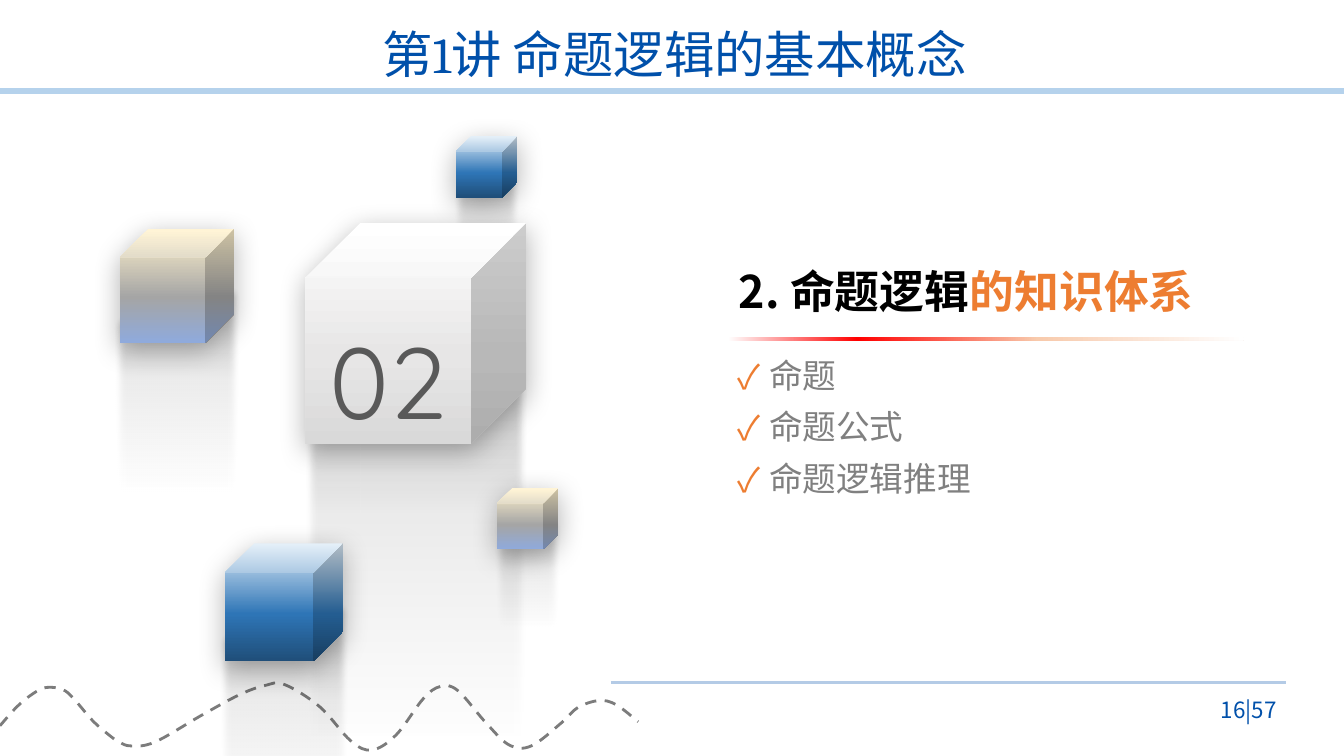
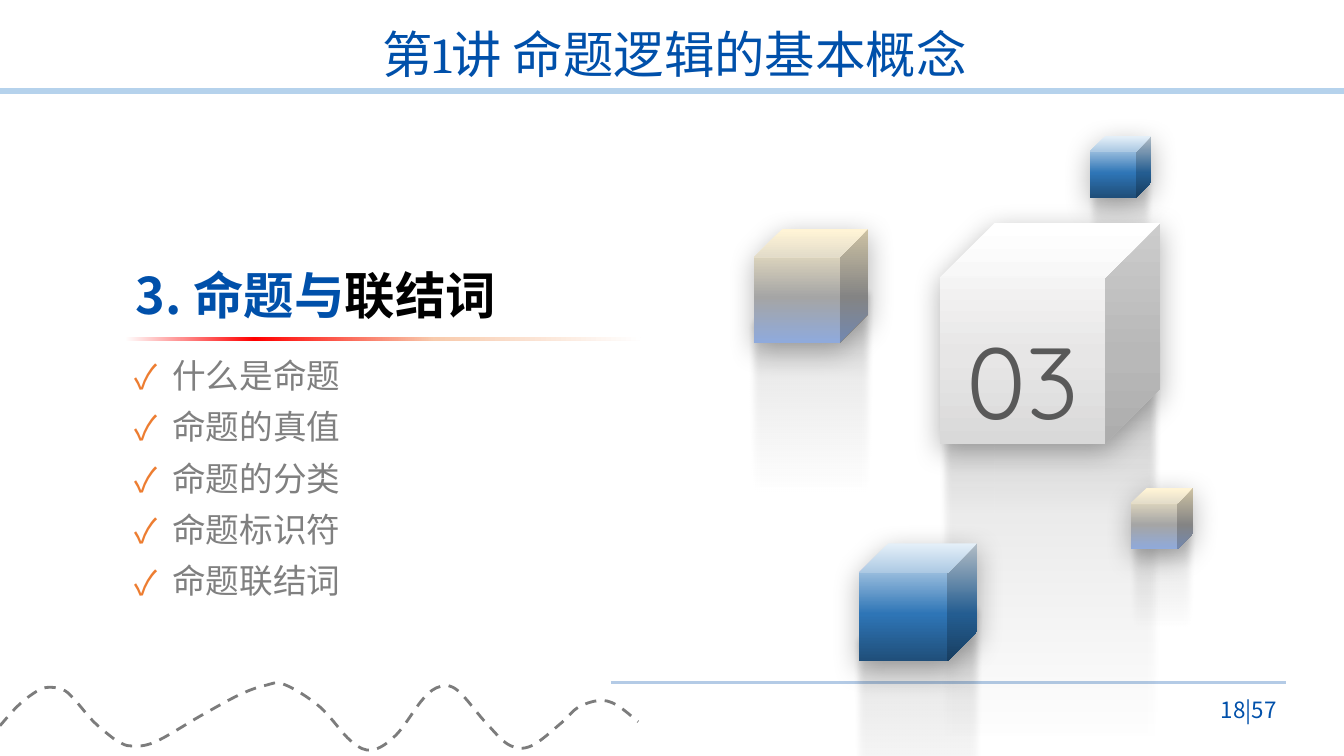
from pptx import Presentation
from pptx.dml.color import RGBColor
from pptx.enum.dml import MSO_LINE
from pptx.enum.shapes import MSO_CONNECTOR, MSO_SHAPE
from pptx.enum.text import MSO_ANCHOR, PP_ALIGN
from pptx.oxml import parse_xml
from pptx.oxml.ns import nsdecls, qn
from pptx.util import Inches, Pt

# Shared style
COLORS = {
    "blue": "0050AA", "band": "B5D2EC", "rule": "B4CBE6", "wave": "7C7C7C",
    "orange": "ED7D31", "black": "000000", "grey": "808080", "dark": "595959",
}
SANS = "Noto Sans CJK SC"
TITLE = "第1讲 命题逻辑的基本概念"
TOTAL = 57

# Gradient stops: position, colour, opacity in percent
GRADS = {
    "white": [(0, "FFFFFF", 100), (60, "E7E6E6", 100), (100, "D9D9D9", 100)],
    "blue": [(1, "DEEBF7", 100), (60, "2E75B6", 100), (100, "1F4E79", 100)],
    "sand": [(1, "FFF2CC", 100), (60, "A5A5A5", 100), (100, "8FAADC", 100)],
    "fade": [(30, "000000", 0), (50, "000000", 4),
             (70, "000000", 8), (100, "262626", 30)],
    "rule": [(0, "FFFFFF", 100), (25, "FF0000", 100),
             (60, "F8CBAD", 100), (100, "FFFFFF", 100)],
}

# Cubes: left, top, size, gradient, reflection width ratio
CUBES = [
    (4.52, 1.35, 0.61, "blue", 1.11),
    (3.03, 2.21, 2.19, "white", 1.01),
    (2.23, 5.39, 1.17, "blue", 1.11),
    (4.93, 4.84, 0.61, "sand", 1.11),
    (1.19, 2.27, 1.13, "sand", 1.11),
]

# Points along the dashed wave
WAVE = [
    (0, 7.2), (0.17, 7.01), (0.33, 6.88), (0.46, 6.82), (0.62, 6.84),
    (0.73, 6.93), (0.92, 7.15), (1.08, 7.29), (1.18, 7.36), (1.3, 7.4),
    (1.54, 7.36), (2.01, 7.09), (2.38, 6.89), (2.63, 6.8), (2.82, 6.79),
    (3.17, 7.01), (3.48, 7.35), (3.69, 7.44), (3.93, 7.29), (4.2, 6.93),
    (4.37, 6.81), (4.54, 6.85), (4.82, 7.17), (5.05, 7.39), (5.27, 7.4),
    (5.57, 7.17), (5.73, 7.02), (5.94, 6.95), (6.11, 6.99), (6.33, 7.16),
]

SLIDES = [
    {"num": "02", "page": 16, "left": 7.22, "shift": 0, "size": 32,
     "height": 0.64, "indent": 0.31,
     "head": [("2. 命题逻辑", "black"), ("的知识体系", "orange")],
     "items": ["命题", "命题公式", "命题逻辑推理"]},
    {"num": "03", "page": 18, "left": 1.24, "shift": 6.29, "size": 36,
     "height": 0.71, "indent": 0.37,
     "head": [("3. 命题与", "blue"), ("联结词", "black")],
     "items": ["什么是命题", "命题的真值", "命题的分类", "命题标识符", "命题联结词"]},
]


def rgb(name):
    return RGBColor.from_string(COLORS[name])


def add_run(para, text, size, color, font=SANS, bold=False):
    run = para.add_run()
    run.text = text
    run.font.size, run.font.bold, run.font.name = Pt(size), bold, font
    run.font.color.rgb = rgb(color)
    run.font._element.find(qn("a:latin")).addnext(
        parse_xml(f'<a:ea {nsdecls("a")} typeface="{SANS}"/>'))


def add_text(slide, box, runs, size, anchor=MSO_ANCHOR.TOP,
             align=PP_ALIGN.LEFT, **style):
    frame = slide.shapes.add_textbox(*map(Inches, box)).text_frame
    frame.word_wrap = True
    frame.vertical_anchor = anchor
    para = frame.paragraphs[0]
    para.alignment = align
    for text, color in runs:
        add_run(para, text, size, color, **style)
    return para


def add_line(slide, left, right, top, color, width):
    line = slide.shapes.add_connector(
        MSO_CONNECTOR.STRAIGHT, *map(Inches, (left, top, right, top)))
    line.line.color.rgb = rgb(color)
    line.line.width = Pt(width)
    line._element.spPr.append(parse_xml(f'<a:effectLst {nsdecls("a")}/>'))


def add_shape(shapes, kind, box, grad, angle=90, effect=None):
    shape = shapes.add_shape(kind, *map(Inches, box))
    shape.line.fill.background()
    shape.fill.background()
    stops = "".join(
        f'<a:gs pos="{pos * 1000}"><a:srgbClr val="{color}">'
        f'<a:alpha val="{alpha * 1000}"/></a:srgbClr></a:gs>'
        for pos, color, alpha in GRADS[grad])
    props = shape._element.spPr
    props.replace(props.find(qn("a:noFill")), parse_xml(
        f'<a:gradFill {nsdecls("a")} rotWithShape="1"><a:gsLst>{stops}</a:gsLst>'
        f'<a:lin ang="{angle * 60000}" scaled="0"/></a:gradFill>'))
    shape.shadow.inherit = False
    if effect:
        props.find(qn("a:effectLst")).append(parse_xml(effect))
    return shape


SHADOW = (f'<a:outerShdw {nsdecls("a")} blurRad="{Pt(20)}" dist="{Pt(5)}" '
          'dir="5400000" algn="t" rotWithShape="0"><a:srgbClr val="000000">'
          '<a:alpha val="30000"/></a:srgbClr></a:outerShdw>')
SOFT = f'<a:softEdge {nsdecls("a")} rad="{Pt(5)}"/>'


def add_cube(slide, left, top, size, grad, ratio):
    shapes = slide.shapes.add_group_shape().shapes
    wide = size * ratio
    box = (left - (wide - size) / 2, top + size * 0.505, wide, size * 2.71)
    add_shape(shapes, MSO_SHAPE.CUBE, box, "fade", effect=SOFT).rotation = 180
    return add_shape(shapes, MSO_SHAPE.CUBE, (left, top, size, size), grad,
                     effect=SHADOW)


def add_wave(slide):
    points = [(Inches(x), Inches(y)) for x, y in WAVE]
    path = slide.shapes.build_freeform(*points[0])
    path.add_line_segments(points[1:], close=False)
    wave = path.convert_to_shape()
    wave.fill.background()
    wave.shadow.inherit = False
    wave.line.color.rgb = rgb("wave")
    wave.line.width = Pt(2)
    wave.line.dash_style = MSO_LINE.DASH

    # Bend each straight piece, with tangents taken from its neighbours
    ends = [points[0], *points, points[-1]]
    pieces = list(wave._element.iter(qn("a:lnTo")))
    for piece, a, b, c, d in zip(pieces, ends, ends[1:], ends[2:], ends[3:]):
        first = [q + (r - p) / 6 for p, q, r in zip(a, b, c)]
        second = [r - (s - q) / 6 for q, r, s in zip(b, c, d)]
        marks = "".join(
            f'<a:pt x="{round(x - wave.left)}" y="{round(y - wave.top)}"/>'
            for x, y in (first, second, c))
        piece.getparent().replace(piece, parse_xml(
            f'<a:cubicBezTo {nsdecls("a")}>{marks}</a:cubicBezTo>'))


def add_frame(slide, page):
    add_line(slide, 0, 13.33, 0.9, "band", 4)
    add_line(slide, 6.06, 12.75, 6.77, "rule", 1.75)
    add_wave(slide)
    title = add_text(slide, (1.57, 0.24, 10.24, 0.65), [(TITLE, "blue")], 36,
                     MSO_ANCHOR.MIDDLE, PP_ALIGN.CENTER, font="Cambria")
    title.line_spacing = 0.9
    add_text(slide, (11.71, 6.84, 1.05, 0.4), [(f"{page}|{TOTAL}", "blue")],
             16, MSO_ANCHOR.MIDDLE, PP_ALIGN.RIGHT)


def add_item(slide, left, top, text, indent):
    para = add_text(slide, (left, top, 3.72, 0.5), [(text, "grey")], 24)
    props = para._p.get_or_add_pPr()
    props.set("marL", str(Inches(indent)))
    props.set("indent", str(-Inches(indent)))
    for mark in (f'buClr {nsdecls("a")}><a:srgbClr val="{COLORS["orange"]}"/>'
                 '</a:buClr>',
                 f'buFont {nsdecls("a")} typeface="{SANS}"/>',
                 f'buChar {nsdecls("a")} char="✓"/>'):
        props.append(parse_xml("<a:" + mark))


def build(deck, data):
    slide = deck.slides.add_slide(deck.slide_layouts[6])
    add_frame(slide, data["page"])

    # Cubes, the white one with the section number
    for left, top, size, grad, ratio in CUBES:
        cube = add_cube(slide, left + data["shift"], top, size, grad, ratio)
        if grad == "white":
            cube.text_frame.vertical_anchor = MSO_ANCHOR.MIDDLE
            para = cube.text_frame.paragraphs[0]
            para.alignment = PP_ALIGN.CENTER
            para.line_spacing = 1.3
            add_run(para, data["num"], 72, "dark", "Quicksand")

    # Heading, rule and topics
    left = data["left"]
    add_text(slide, (left + 0.01, 2.56, 5.3, data["height"]), data["head"],
             data["size"], MSO_ANCHOR.BOTTOM, bold=True)
    rule = add_shape(slide.shapes, MSO_SHAPE.ROUNDED_RECTANGLE,
                     (left, 3.34, 5.12, 0.04), "rule", angle=0)
    rule.adjustments[0] = 0.5
    for row, text in enumerate(data["items"]):
        add_item(slide, left, 3.47 + row * 0.51, text, data["indent"])


def main():
    deck = Presentation()
    deck.slide_width, deck.slide_height = Inches(13.33), Inches(7.5)
    for data in SLIDES:
        build(deck, data)
    deck.save("out.pptx")


if __name__ == "__main__":
    main()
